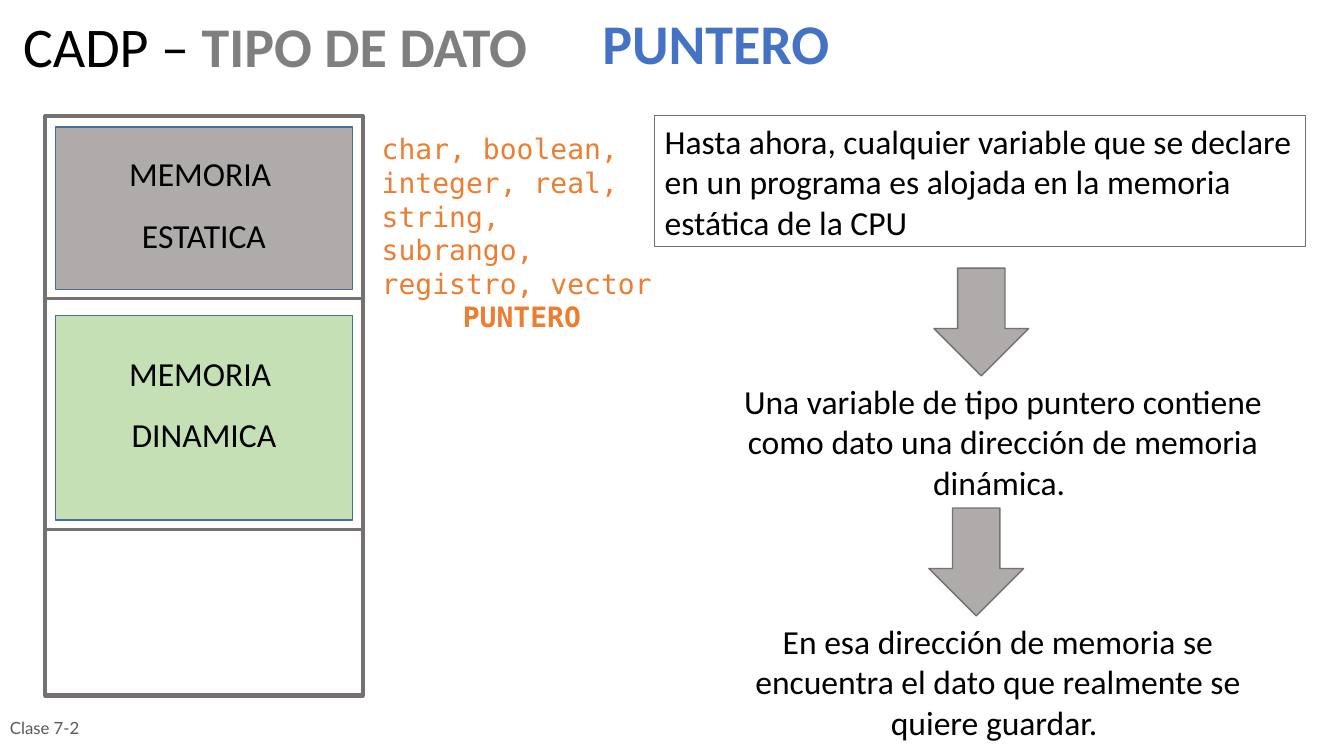
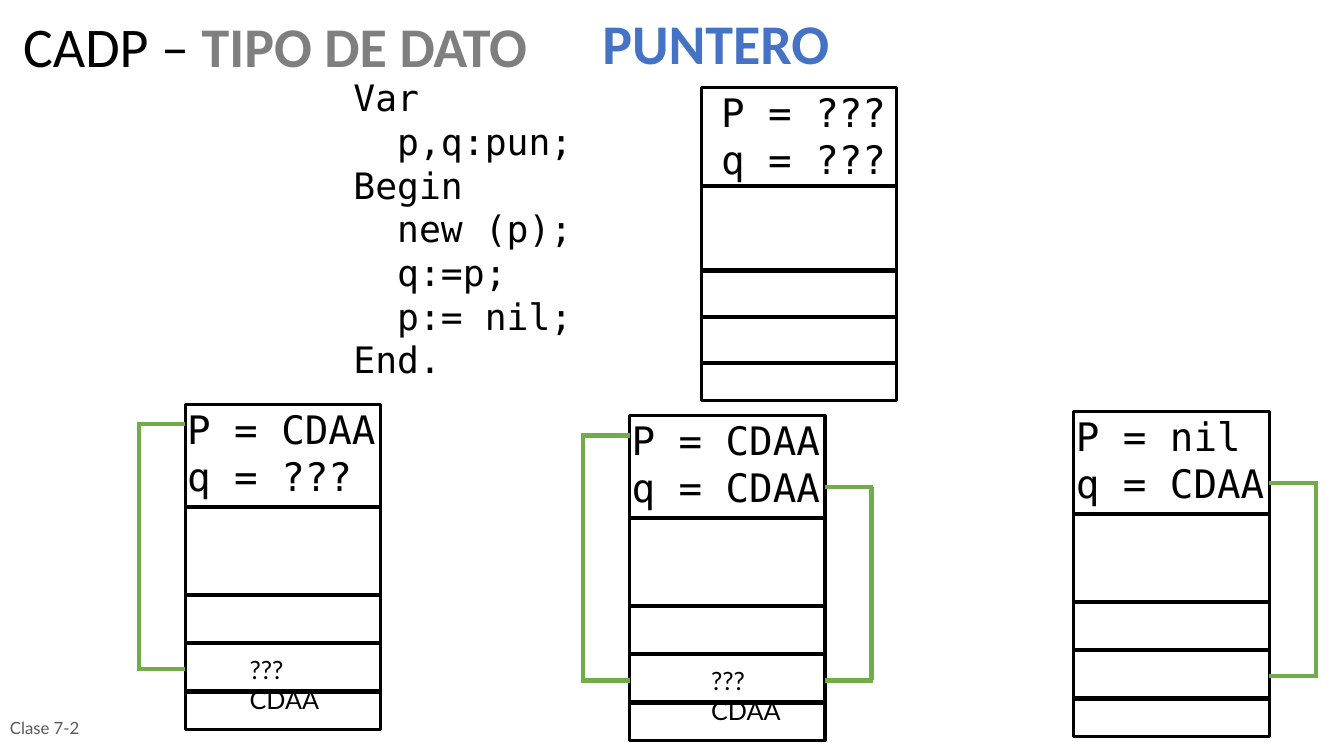
import pptx
import pptx.dml.color
import pptx.enum.shapes
import pptx.enum.text
import pptx.oxml.ns
import pptx.util
from lxml import etree

Inches = pptx.util.Inches
Pt = pptx.util.Pt
SHAPES = pptx.enum.shapes.MSO_SHAPE
ALIGN = pptx.enum.text.PP_ALIGN
ANCHOR = pptx.enum.text.MSO_ANCHOR

BLACK, GRAY, SILVER, GREEN = "000000", "767171", "AFABAB", "70AD47"
BODY = {"name": "Calibri", "size": Pt(24), "color": BLACK}
TITLE = {"name": "Calibri", "size": Pt(40), "color": BLACK}
TITLE_STRONG = {**TITLE, "bold": True, "color": "7F7F7F"}
TITLE_TOPIC = {**TITLE, "bold": True, "color": "4472C4"}
FOOTER = {"name": "Lato", "size": Pt(12), "color": "595959"}
TYPES = {"name": "DejaVu Sans Mono", "size": Pt(20), "color": "ED7D31"}
CODE = {"name": "DejaVu Sans Mono", "size": Pt(26), "color": BLACK}
POINTERS = {**CODE, "size": Pt(28)}
CELL_NOTE = {"name": "Lato", "size": Pt(18), "color": BLACK}
CENTERED = {"alignment": ALIGN.CENTER}
TIGHT = {"line_spacing": 0.9}

MEMORY_WIDTH = 1.94
MEMORY_HEIGHT = 3.23
MEMORY_DIVIDERS = (1.02, 1.89, 2.37, 2.85)
POINTERS_WIDTH = 2.1
BRACKET_REACH = 0.46
BRACKET_BOTTOM = 2.63


def rgb(value):
    return pptx.dml.color.RGBColor.from_string(value)


def apply_formats(target, formats):
    for name, value in formats.items():
        if name == "color":
            target.color.rgb = rgb(value)
        else:
            setattr(target, name, value)


def write_paragraph(paragraph, runs, formats):
    apply_formats(paragraph, formats)
    for text, font_formats in runs:
        run = paragraph.add_run()
        run.text = text
        apply_formats(run.font, font_formats)


def write_lines(frame, lines, font_formats, formats=None, gap=0):
    for index, line in enumerate(lines):
        paragraph = frame.add_paragraph() if index else frame.paragraphs[0]
        write_paragraph(paragraph, [(line, font_formats)], formats or {})
        if index and gap:
            paragraph.space_before = Pt(gap)


def add_text(shapes, box, lines, font_formats, formats=None, gap=0):
    shape = shapes.add_textbox(*map(Inches, box))
    shape.text_frame.word_wrap = True
    write_lines(shape.text_frame, lines, font_formats, formats, gap)
    return shape


def add_block(shapes, kind, box, line, weight, fill=None):
    shape = shapes.add_shape(kind, *map(Inches, box))
    shape.shadow.inherit = False
    if fill:
        shape.fill.solid()
        shape.fill.fore_color.rgb = rgb(fill)
    else:
        shape.fill.background()
    shape.line.color.rgb = rgb(line)
    shape.line.width = Pt(weight)
    return shape


def add_line(shapes, start, end, color, weight):
    connector = shapes.add_connector(
        pptx.enum.shapes.MSO_CONNECTOR.STRAIGHT, *map(Inches, (*start, *end)))
    connector.line.color.rgb = rgb(color)
    connector.line.width = Pt(weight)
    properties = connector._element.spPr
    etree.SubElement(properties, pptx.oxml.ns.qn("a:effectLst"))


def add_titled_slide(presentation):
    slide = presentation.slides.add_slide(presentation.slide_layouts[5])
    title = slide.shapes.title
    box = {"left": 0.13, "top": 0.14, "width": 5.28, "height": 0.76}
    apply_formats(title, {name: Inches(value) for name, value in box.items()})
    apply_formats(title.text_frame, {
        "auto_size": pptx.enum.text.MSO_AUTO_SIZE.NONE,
        "vertical_anchor": ANCHOR.TOP,
        "word_wrap": True,
    })
    write_paragraph(
        title.text_frame.paragraphs[0],
        [("CADP – ", TITLE), ("TIPO DE DATO", TITLE_STRONG)],
        {"alignment": ALIGN.LEFT, **TIGHT})
    add_text(slide.shapes, (5.88, 0.11, 5.28, 0.76), ["PUNTERO"], TITLE_TOPIC, TIGHT)
    footer = add_text(slide.shapes, (0, 7.02, 2.33, 0.4), ["Clase 7-2"], FOOTER)
    footer.text_frame.vertical_anchor = ANCHOR.MIDDLE
    return slide


def add_memory_map(shapes, left, top, width, height):
    add_block(shapes, SHAPES.RECTANGLE, (left, top, width, height), GRAY, 3)
    for offset in (1.81, 4.1):
        add_line(shapes, (left, top + offset), (left + width, top + offset), GRAY, 2.25)
    areas = (
        (0.11, 1.61, SILVER, "ESTATICA", 0.32),
        (1.98, 2.03, "C5E0B4", "DINAMICA", 2.3),
    )
    for offset, area_height, fill, name, label_offset in areas:
        box = (left + 0.1, top + offset, width - 0.2, area_height)
        add_block(shapes, SHAPES.RECTANGLE, box, "41719C", 1, fill)
        label_box = (left + 0.71, top + label_offset, 1.73, 1.11)
        add_text(shapes, label_box, ["MEMORIA ", name], BODY, CENTERED, gap=15)


def add_explanation(shapes, left, top):
    statement = add_block(
        shapes, SHAPES.RECTANGLE, (left, top, 6.46, 1.3), GRAY, 0.75)
    statement.text_frame.word_wrap = True
    statement.text_frame.vertical_anchor = ANCHOR.TOP
    write_lines(
        statement.text_frame,
        ["Hasta ahora, cualquier variable que se declare en un programa es "
         "alojada en la memoria estática de la CPU"],
        BODY, {"alignment": ALIGN.LEFT})
    steps = (
        "Una variable de tipo puntero contiene como dato una dirección de "
        "memoria dinámica. ",
        "En esa dirección de memoria se encuentra el dato que realmente se "
        "quiere guardar. ",
    )
    for index, text in enumerate(steps):
        step_left = left - 0.05 * index
        step_top = top + 1.51 + 2.38 * index
        add_block(shapes, SHAPES.DOWN_ARROW,
                  (step_left + 2.77, step_top, 0.94, 1.07), GRAY, 1, SILVER)
        add_text(shapes, (step_left + 0.61, step_top + 1.07, 5.69, 1.3),
                 [text], BODY, CENTERED)


def add_bracket(shapes, edge, reach, top, bottom):
    outer = edge + reach
    overlap = 0.02 if reach > 0 else -0.02
    for level in (top, bottom):
        add_line(shapes, (edge, level), (outer + overlap, level), GREEN, 3)
    add_line(shapes, (outer, top), (outer, bottom), GREEN, 3)


def add_memory_state(slide, left, top, pointers, height=MEMORY_HEIGHT,
                     text_offset=-0.08, note_offset=None, links=""):
    shapes = slide.shapes.add_group_shape().shapes
    add_block(shapes, SHAPES.RECTANGLE, (left, top, MEMORY_WIDTH, height), BLACK, 2.25)
    for offset in MEMORY_DIVIDERS:
        level = top + offset * height / MEMORY_HEIGHT
        add_line(shapes, (left, level), (left + MEMORY_WIDTH, level), BLACK, 3)
    add_text(shapes, (left + text_offset, top - 0.04, POINTERS_WIDTH, 1.04),
             pointers, POINTERS)
    if note_offset:
        add_text(shapes, (left + note_offset, top + 2.43, 2.16, 0.7),
                 ["???", "CDAA"], CELL_NOTE)
    if "p" in links:
        add_bracket(shapes, left, -BRACKET_REACH, top + 0.2, top + BRACKET_BOTTOM)
    if "q" in links:
        add_bracket(shapes, left + MEMORY_WIDTH, BRACKET_REACH,
                    top + 0.71, top + BRACKET_BOTTOM)


def build_concept_slide(presentation):
    slide = add_titled_slide(presentation)
    add_memory_map(slide.shapes, 0.45, 1.15, 3.15, 5.75)
    types = add_text(
        slide.shapes, (3.69, 1.26, 2.98, 2.1),
        ["char, boolean,", "integer, real,", "string, subrango,", "registro, vector"],
        TYPES)
    write_paragraph(types.text_frame.add_paragraph(),
                    [("PUNTERO", {**TYPES, "bold": True})], CENTERED)
    add_explanation(slide.shapes, 6.5, 1.15)


def build_example_slide(presentation):
    slide = add_titled_slide(presentation)
    program = ["Var", "  p,q:pun;", "Begin", "  new (p);", "  q:=p;",
               "  p:= nil;", "End."]
    add_text(slide.shapes, (3.41, 0.7, 2.6, 3.13), program, CODE)
    add_memory_state(slide, 6.96, 0.87, ["P = ???", "q = ???"],
                     height=3.1, text_offset=0.1)
    add_memory_state(slide, 1.84, 4.01, ["P = CDAA", "q = ???"],
                     note_offset=0.54, links="p")
    add_memory_state(slide, 6.25, 4.12, ["P = CDAA", "q = CDAA"],
                     note_offset=0.71, links="pq")
    add_memory_state(slide, 10.66, 4.08, ["P = nil", "q = CDAA"], links="q")


def main():
    presentation = pptx.Presentation()
    presentation.slide_width = Inches(13.34)
    presentation.slide_height = Inches(7.5)
    build_concept_slide(presentation)
    build_example_slide(presentation)
    presentation.save("out.pptx")


if __name__ == "__main__":
    main()
